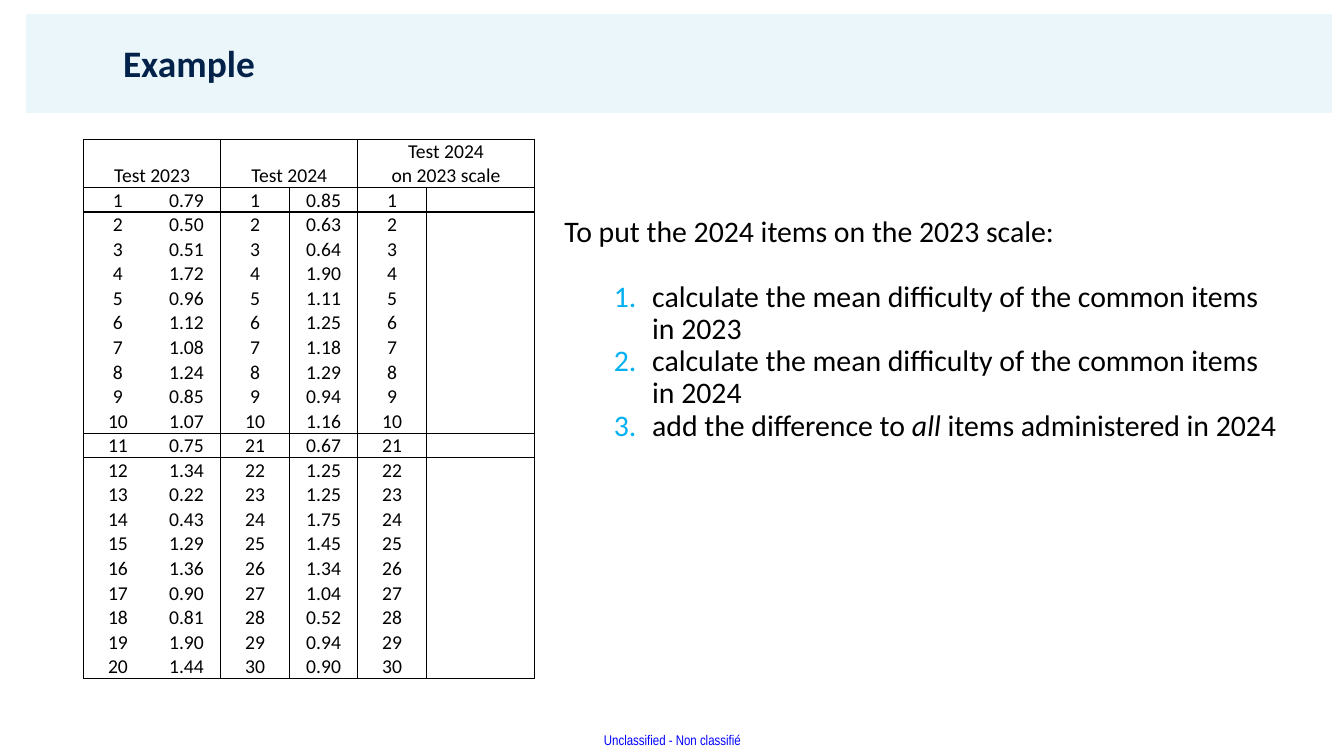
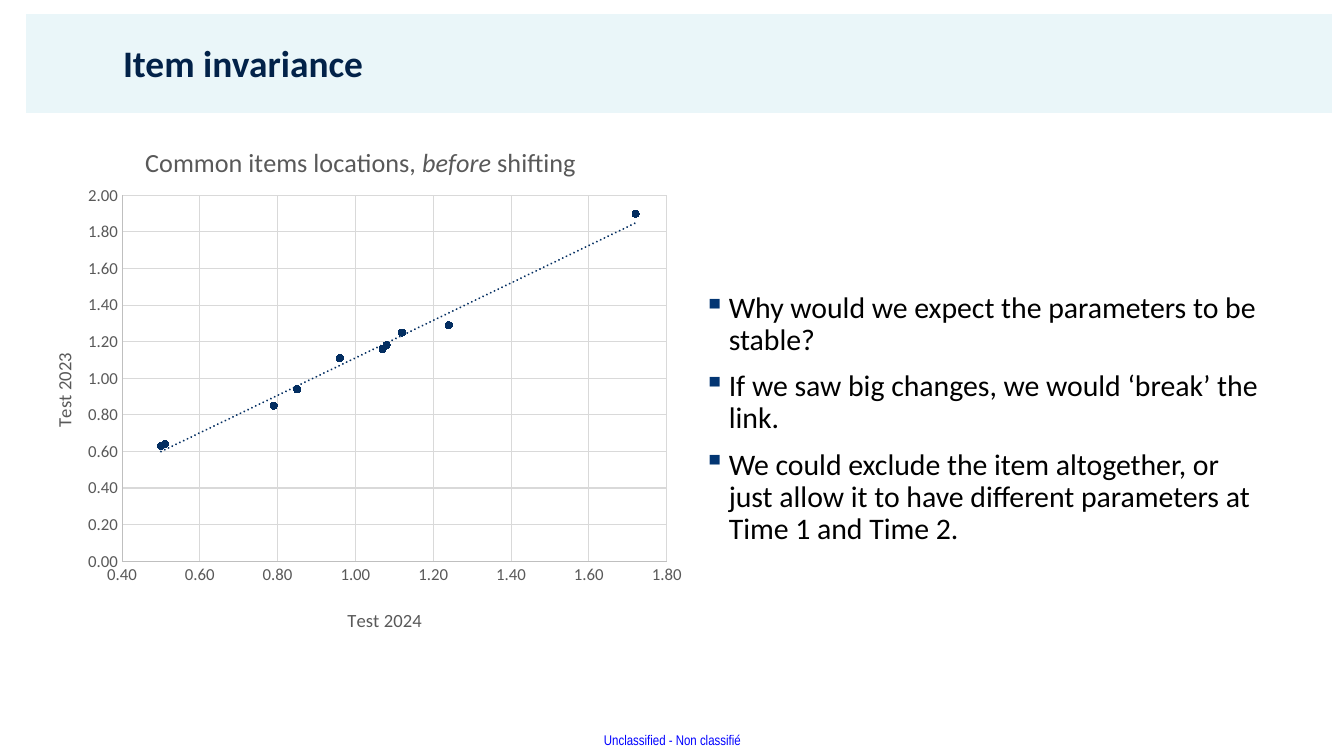
from lxml.etree import SubElement
from pptx import Presentation
from pptx.chart.data import XyChartData
from pptx.dml.color import RGBColor
from pptx.enum.chart import XL_CHART_TYPE as ChartType, XL_MARKER_STYLE as Marker, XL_TICK_MARK as Tick
from pptx.enum.shapes import MSO_SHAPE as Shape
from pptx.enum.text import MSO_ANCHOR as Anchor, MSO_AUTO_SIZE as AutoSize, PP_ALIGN as Align
from pptx.oxml import parse_xml
from pptx.oxml.ns import nsdecls, qn
from pptx.util import Inches, Pt

BLACK = RGBColor(0x00, 0x00, 0x00)
NAVY = RGBColor(0x02, 0x22, 0x49)
MARINE = RGBColor(0x03, 0x2E, 0x61)
BULLET_BLUE = RGBColor(0x03, 0x36, 0x73)
NUMBER_BLUE = RGBColor(0x00, 0xB0, 0xF0)
FOOTER_BLUE = RGBColor(0x00, 0x00, 0xFF)
TEAL = RGBColor(0x6F, 0xC5, 0xD5)
GREY = RGBColor(0x59, 0x59, 0x59)
AXIS_GREY = RGBColor(0xBF, 0xBF, 0xBF)
GRID_GREY = RGBColor(0xD9, 0xD9, 0xD9)

TEST_2023 = [0.79, 0.50, 0.51, 1.72, 0.96, 1.12, 1.08, 1.24, 0.85, 1.07,
             0.75, 1.34, 0.22, 0.43, 1.29, 1.36, 0.90, 0.81, 1.90, 1.44]
TEST_2024 = [0.85, 0.63, 0.64, 1.90, 1.11, 1.25, 1.18, 1.29, 0.94, 1.16,
             0.67, 1.25, 1.25, 1.75, 1.45, 1.34, 1.04, 0.52, 0.94, 0.90]
COMMON = 10
HEADINGS = ["Test 2023", "Test 2024", "Test 2024\non 2023 scale"]


class Deck:
    """Holds the shared style and the current slide."""

    body_size = 21.3

    def __init__(self):
        self.prs = Presentation()
        self.prs.slide_width, self.prs.slide_height = Inches(13.33), Inches(7.5)
        self.s = None

    def new_slide(self, title):
        self.s = self.prs.slides.add_slide(self.prs.slide_layouts[5])
        self.band()
        self.footer()
        sp = self.s.shapes.title
        sp.left, sp.top, sp.width, sp.height = map(Inches, (1.12, 0.18, 11.45, 0.94))
        tf = sp.text_frame
        tf.auto_size, tf.vertical_anchor = AutoSize.NONE, Anchor.MIDDLE
        p = tf.paragraphs[0]
        p.alignment, p.line_spacing = Align.LEFT, 0.9
        self.runs(p, title, 26.7, NAVY, bold=True)

    def band(self):
        sp = self.s.shapes.add_shape(Shape.RECTANGLE, *map(Inches, (0.26, 0.14, 12.95, 0.98)))
        sp.shadow.inherit = False
        sp.line.fill.background()
        sp.fill.solid()
        sp.fill.fore_color.rgb = TEAL
        color = sp._element.spPr.find(".//" + qn("a:srgbClr"))
        SubElement(color, qn("a:alpha")).set("val", "14000")
        self.s.shapes._spTree.insert(2, sp._element)

    def footer(self):
        tf = self.s.shapes.add_textbox(*map(Inches, (5.99, 7.26, 1.39, 0.17))).text_frame
        tf.margin_left = tf.margin_right = tf.margin_top = tf.margin_bottom = 0
        self.runs(tf.paragraphs[0], "Unclassified - Non classifié", 10, FOOTER_BLUE, font="Arial Narrow")

    def runs(self, p, text, size, color, bold=False, font="Calibri"):
        """Add text to a paragraph, with the parts between asterisks in italics."""
        for i, part in enumerate(text.split("*")):
            r = p.add_run()
            r.text = part
            f = r.font
            f.name, f.size, f.bold, f.italic = font, Pt(size), bold, i % 2 == 1
            f.color.rgb = color

    def text_box(self, box, anchor=Anchor.TOP, auto_size=AutoSize.NONE):
        tf = self.s.shapes.add_textbox(*map(Inches, box)).text_frame
        tf.word_wrap, tf.vertical_anchor, tf.auto_size = True, anchor, auto_size
        return tf

    def paragraph(self, tf, text, first=False):
        p = tf.paragraphs[0] if first else tf.add_paragraph()
        p.line_spacing = 0.9
        self.runs(p, text, self.body_size, BLACK)
        return p

    def bullet(self, p, indent, hanging, color, tag, **attributes):
        pPr = p._p.get_or_add_pPr()
        pPr.set("marL", str(Inches(indent)))
        pPr.set("indent", str(-Inches(hanging)))
        SubElement(SubElement(pPr, qn("a:buClr")), qn("a:srgbClr")).set("val", str(color))
        SubElement(pPr, qn(tag), **attributes)

    def borders(self, cell, sides):
        tcPr = cell._tc.get_or_add_tcPr()
        for side, shown in zip("LRTB", sides):
            ln = SubElement(tcPr, qn("a:ln" + side), w=str(Pt(1)))
            if shown:
                SubElement(SubElement(ln, qn("a:solidFill")), qn("a:srgbClr")).set("val", str(BLACK))
            else:
                SubElement(ln, qn("a:noFill"))

    def cell(self, cell, text):
        cell.fill.background()
        cell.vertical_anchor = Anchor.BOTTOM
        cell.margin_left = cell.margin_right = cell.margin_top = Inches(0.01)
        cell.margin_bottom = 0
        tf = cell.text_frame
        for i, line in enumerate(text.split("\n")):
            p = tf.add_paragraph() if i else tf.paragraphs[0]
            p.alignment = Align.CENTER
            if line:
                self.runs(p, line, 14, BLACK)
            else:
                p._p.get_or_add_endParaRPr().set("sz", "1400")

    def item_table(self, box, headings, rows, col_widths, v_edges, h_edges):
        """Add a table whose headings each span two columns, ruled at the given edges."""
        n_rows, n_cols = len(rows) + 1, len(col_widths)
        table = self.s.shapes.add_table(n_rows, n_cols, *map(Inches, box)).table
        table.first_row = table.horz_banding = False
        for col, width in zip(table.columns, col_widths):
            col.width = Inches(width)
        for i, row in enumerate(table.rows):
            row.height = Inches(0.24 if i else 0.48)
        heading_row = [text for h in headings for text in (h, "")]
        for y, texts in enumerate([heading_row] + rows):
            for x, text in enumerate(texts):
                cell = table.cell(y, x)
                if y == 0:
                    sides = (x % 2 == 0, True, True, True)
                else:
                    sides = (x in v_edges, x + 1 in v_edges, y in h_edges, y + 1 in h_edges)
                self.borders(cell, sides)
                self.cell(cell, text)
        for x in range(0, n_cols, 2):
            table.cell(0, x).merge(table.cell(0, x + 1))

    def place(self, parent, **fractions):
        """Give a chart part a manual layout in fractions of the chart."""
        old = parent.find(qn("c:layout"))
        if old is not None:
            parent.remove(old)
        layout = parse_xml(f"<c:layout {nsdecls('c')}><c:manualLayout/></c:layout>")
        manual = layout[0]
        if "w" in fractions:
            SubElement(manual, qn("c:layoutTarget")).set("val", "inner")
        for key in "xy":
            SubElement(manual, qn(f"c:{key}Mode")).set("val", "edge")
        for key, value in fractions.items():
            SubElement(manual, qn("c:" + key)).set("val", str(value))
        parent.insert(0 if parent.find(qn("c:tx")) is None else 1, layout)

    def chart_title(self, title, text, size, x, y):
        self.runs(title.text_frame.paragraphs[0], text, size, GREY)
        self.place(title._element, x=x, y=y)

    def axis(self, axis, low, high, title, x, y):
        axis.minimum_scale, axis.maximum_scale, axis.major_unit = low, high, 0.2
        axis.major_tick_mark = axis.minor_tick_mark = Tick.NONE
        axis.has_major_gridlines = axis.has_title = True
        for line, color in ((axis.format.line, AXIS_GREY), (axis.major_gridlines.format.line, GRID_GREY)):
            line.color.rgb, line.width = color, Pt(0.75)
        labels = axis.tick_labels
        labels.number_format, labels.number_format_is_linked = "0.00", False
        labels.font.size, labels.font.name = Pt(12), "Calibri"
        labels.font.color.rgb = GREY
        self.chart_title(axis.axis_title, title, 13.3, x, y)

    def trend_line(self, series, color):
        trend = parse_xml(
            f'<c:trendline {nsdecls("c", "a")}><c:spPr><a:ln w="{Pt(1.5)}" cap="rnd">'
            f'<a:solidFill><a:srgbClr val="{color}"/></a:solidFill><a:prstDash val="sysDot"/>'
            '</a:ln></c:spPr><c:trendlineType val="linear"/><c:dispRSqr val="0"/>'
            '<c:dispEq val="0"/></c:trendline>')
        series._element.find(qn("c:xVal")).addprevious(trend)

    def scatter(self, box, title, points):
        data = XyChartData()
        data_series = data.add_series("Series 1")
        for x, y in points:
            data_series.add_data_point(x, y)
        chart = self.s.shapes.add_chart(ChartType.XY_SCATTER, *map(Inches, box), data).chart
        chart.has_legend = False
        chart.font.name, chart.font.size = "Calibri", Pt(10)
        chart.has_title = True
        self.chart_title(chart.chart_title, title, 18.7, 0.18, 0.05)
        self.axis(chart.category_axis, 0.4, 1.8, "Test 2024", 0.48, 0.92)
        self.axis(chart.value_axis, 0, 2, "Test 2023", 0.04, 0.44)
        plot = chart.plots[0]
        plot.vary_by_categories = False
        series = plot.series[0]
        series.format.line.fill.background()
        series.marker.style, series.marker.size = Marker.CIRCLE, 5
        fmt = series.marker.format
        fmt.fill.solid()
        fmt.fill.fore_color.rgb = fmt.line.color.rgb = MARINE
        self.trend_line(series, MARINE)
        self.place(plot._element.getparent(), x=0.15, y=0.15, w=0.81, h=0.69)


def example_slide(deck):
    deck.new_slide("Example")
    rows = []
    for n, (old, new) in enumerate(zip(TEST_2023, TEST_2024), 1):
        new_id = str(n if n <= COMMON else n + 10)
        rows.append([str(n), f"{old:.2f}", new_id, f"{new:.2f}", new_id, ""])
    deck.item_table((0.83, 1.38, 4.49, 5.28), HEADINGS, rows, [0.68] * 5 + [1.07],
                    v_edges={0, 2, 3, 4, 5, 6}, h_edges={0, 1, 2, 11, 12, 21})
    tf = deck.text_box((5.5, 2.1, 7.35, 2.36), auto_size=AutoSize.SHAPE_TO_FIT_TEXT)
    p = deck.paragraph(tf, "To put the 2024 items on the 2023 scale:", first=True)
    p.space_after = Pt(23.4)
    for step in ("calculate the mean difficulty of the common items in 2023",
                 "calculate the mean difficulty of the common items in 2024",
                 "add the difference to *all *items administered in 2024"):
        p = deck.paragraph(tf, step)
        p.level = 1
        deck.bullet(p, 0.87, 0.38, NUMBER_BLUE, "a:buAutoNum", type="arabicPeriod")


def invariance_slide(deck):
    deck.new_slide("Item invariance")
    tf = deck.text_box((6.88, 1.44, 5.7, 5.44), Anchor.MIDDLE)
    points = ("Why would we expect the parameters to be stable?",
              "If we saw big changes, we would ‘break’ the link.",
              "We could exclude the item altogether, or just allow it to have "
              "different parameters at Time 1 and Time 2.")
    for i, point in enumerate(points):
        p = deck.paragraph(tf, point, first=i == 0)
        p.space_before = Pt(10)
        deck.bullet(p, 0.25, 0.25, BULLET_BLUE, "a:buChar", char="▪")
    deck.scatter((0.21, 1.15, 6.67, 5.26), "Common items locations, *before* shifting",
                 zip(TEST_2023[:COMMON], TEST_2024[:COMMON]))


def main():
    deck = Deck()
    example_slide(deck)
    invariance_slide(deck)
    deck.prs.save("out.pptx")


if __name__ == "__main__":
    main()
